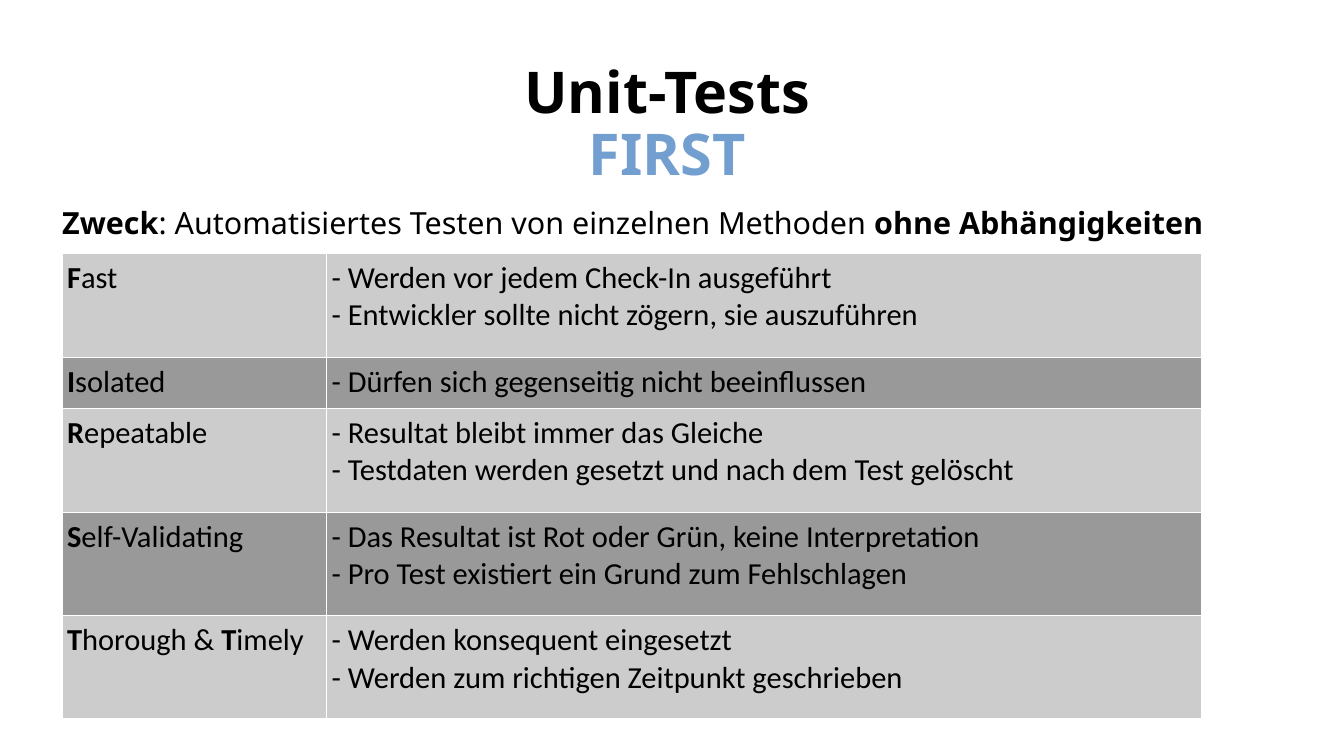
from lxml.etree import SubElement as Sub
from pptx import Presentation
from pptx.dml.color import RGBColor
from pptx.enum.text import MSO_ANCHOR as Anchor, PP_ALIGN as Align
from pptx.oxml.ns import qn
from pptx.util import Inches, Pt

BLACK = RGBColor(0x00, 0x00, 0x00)
BLUE = RGBColor(0x72, 0x9F, 0xCF)
LIGHT = RGBColor(0xCC, 0xCC, 0xCC)
DARK = RGBColor(0x99, 0x99, 0x99)
WHITE = RGBColor(0xFF, 0xFF, 0xFF)

HEAD_FONT = "Noto Sans"
CELL_FONT = "Calibri"
EDGE = Pt(0.57)

# Text between asterisks is bold
PURPOSE = ("*Zweck*: Automatisiertes Testen von einzelnen Methoden "
           "*ohne Abhängigkeiten*")
COLS = [2.17, 7.17]
ROWS = [
    (0.85, "*F*ast", ["- Werden vor jedem Check-In ausgeführt",
                      "- Entwickler sollte nicht zögern, sie auszuführen"]),
    (0.42, "*I*solated", ["- Dürfen sich gegenseitig nicht beeinflussen"]),
    (0.85, "*R*epeatable", ["- Resultat bleibt immer das Gleiche",
                            "- Testdaten werden gesetzt und nach dem Test gelöscht"]),
    (0.85, "*S*elf-Validating", ["- Das Resultat ist Rot oder Grün, keine Interpretation",
                                 "- Pro Test existiert ein Grund zum Fehlschlagen"]),
    (0.84, "*T*horough & *T*imely", ["- Werden konsequent eingesetzt",
                                     "- Werden zum richtigen Zeitpunkt geschrieben"]),
]


def add_run(para, text, font, size, color=BLACK, bold=False):
    run = para.add_run()
    run.text = text
    run.font.name = font
    run.font.size = Pt(size)
    run.font.bold = bold
    run.font.color.rgb = color


def add_marked(para, text, font):
    for i, part in enumerate(text.split("*")):
        if part:
            add_run(para, part, font, 18, bold=i % 2 == 1)


def add_box(slide, left, top, width, height, anchor=Anchor.TOP):
    box = slide.shapes.add_textbox(Inches(left), Inches(top),
                                   Inches(width), Inches(height))
    frame = box.text_frame
    frame.word_wrap = True
    frame.vertical_anchor = anchor
    frame.margin_left = frame.margin_right = 0
    frame.margin_top = frame.margin_bottom = 0
    return frame.paragraphs[0]


def add_title(slide):
    para = add_box(slide, 0.51, 0.39, 9.92, 1.29, Anchor.MIDDLE)
    para.alignment = Align.CENTER
    para.line_spacing = 0.9
    add_run(para, "Unit-Tests", HEAD_FONT, 34, bold=True)
    para.add_line_break()
    add_run(para, "FIRST", HEAD_FONT, 34, BLUE, True)


def set_edges(cell):
    props = cell._tc.get_or_add_tcPr()
    for side in ("lnL", "lnR", "lnT", "lnB"):
        line = Sub(props, qn(f"a:{side}"), w=str(EDGE))
        fill = Sub(line, qn("a:solidFill"))
        Sub(fill, qn("a:srgbClr"), val=str(WHITE))


def fill_cell(cell, lines, color):
    set_edges(cell)
    cell.fill.solid()
    cell.fill.fore_color.rgb = color
    cell.margin_left = cell.margin_right = Inches(0.04)
    cell.margin_top = cell.margin_bottom = Inches(0.05)
    frame = cell.text_frame
    for i, line in enumerate(lines):
        para = frame.add_paragraph() if i else frame.paragraphs[0]
        add_marked(para, line, CELL_FONT)


def add_grid(slide):
    height = sum(row[0] for row in ROWS)
    shape = slide.shapes.add_table(len(ROWS), len(COLS), Inches(0.51), Inches(2.08),
                                   Inches(sum(COLS)), Inches(height))
    table = shape.table
    table.first_row = table.horz_banding = False
    for col, width in zip(table.columns, COLS):
        col.width = Inches(width)
    for i, (high, term, notes) in enumerate(ROWS):
        table.rows[i].height = Inches(high)
        color = DARK if i % 2 else LIGHT
        fill_cell(table.cell(i, 0), [term], color)
        fill_cell(table.cell(i, 1), notes, color)


def main():
    deck = Presentation()
    deck.slide_width = Inches(11.02)
    deck.slide_height = Inches(6.2)
    slide = deck.slides.add_slide(deck.slide_layouts[6])

    # Heading and purpose
    add_title(slide)
    add_marked(add_box(slide, 0.51, 1.67, 9.92, 0.39), PURPOSE, HEAD_FONT)

    # FIRST principles
    add_grid(slide)
    deck.save("out.pptx")


if __name__ == "__main__":
    main()
